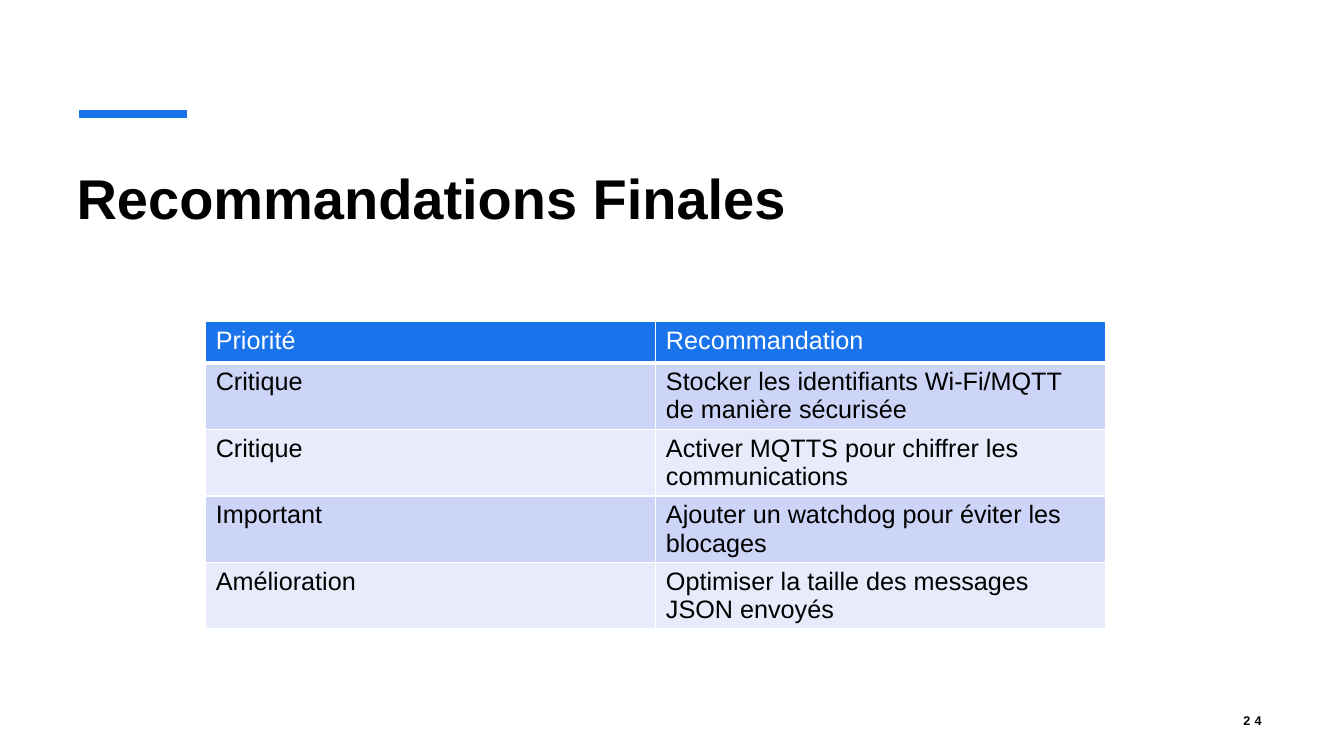
from lxml import etree
from pptx import Presentation
from pptx.dml.color import RGBColor
from pptx.enum.text import MSO_ANCHOR, PP_ALIGN
from pptx.oxml import parse_xml
from pptx.oxml.ns import nsdecls, qn
from pptx.util import Inches, Pt

BLUE = RGBColor(0x19, 0x73, 0xEB)
BAND_DARK = RGBColor(0xCC, 0xD5, 0xF7)
BAND_LIGHT = RGBColor(0xE8, 0xEB, 0xFB)
BLACK = RGBColor(0x00, 0x00, 0x00)
WHITE = RGBColor(0xFF, 0xFF, 0xFF)

RECOMMENDATIONS = [
    ("Priorité", "Recommandation"),
    ("Critique", "Stocker les identifiants Wi-Fi/MQTT de manière sécurisée"),
    ("Critique", "Activer MQTTS pour chiffrer les communications"),
    ("Important", "Ajouter un watchdog pour éviter les blocages"),
    ("Amélioration", "Optimiser la taille des messages JSON envoyés"),
]


class SlideBuilder:
    """Holds the text style and the current slide."""

    font_name = "Arial"

    def __init__(self, slide):
        self.slide = slide

    def style(self, paragraph, size, color=BLACK, bold=False):
        font = paragraph.font
        font.name = self.font_name
        font.size = Pt(size)
        font.bold = bold
        font.color.rgb = color

    def accent_line(self, left, top, length):
        line = self.slide.shapes.add_connector(
            1, Inches(left), Inches(top), Inches(left + length), Inches(top))
        line.line.color.rgb = BLUE
        line.line.width = Pt(6)
        etree.SubElement(line._element.spPr, qn("a:effectLst"))

    def title(self, text, left, top, width, height):
        title = self.slide.shapes.title
        title.left, title.top = Inches(left), Inches(top)
        title.width, title.height = Inches(width), Inches(height)
        frame = title.text_frame
        frame.text = text
        frame.vertical_anchor = MSO_ANCHOR.TOP
        frame.margin_left = Inches(0.06)
        frame.margin_top = Inches(0.12)
        paragraph = frame.paragraphs[0]
        paragraph.alignment = PP_ALIGN.LEFT
        self.style(paragraph, 40, bold=True)

    def table(self, rows, left, top, width, row_height):
        table = self.slide.shapes.add_table(
            len(rows), len(rows[0]), Inches(left), Inches(top),
            Inches(width), Inches(row_height * len(rows))).table
        for row_index, texts in enumerate(rows):
            is_header = row_index == 0
            band = BAND_DARK if row_index % 2 else BAND_LIGHT
            for column_index, text in enumerate(texts):
                cell = table.cell(row_index, column_index)
                cell.text = text
                cell.fill.solid()
                cell.fill.fore_color.rgb = BLUE if is_header else band
                self.style(cell.text_frame.paragraphs[0], 18,
                           WHITE if is_header else BLACK)
                self.borders(cell, top=3 if row_index == 1 else 1,
                             bottom=3 if is_header else 1)

    def borders(self, cell, top, bottom):
        properties = cell._tc.get_or_add_tcPr()
        widths = {"lnL": 1, "lnR": 1, "lnT": top, "lnB": bottom}
        for position, (side, width) in enumerate(widths.items()):
            properties.insert(position, parse_xml(
                f'<a:{side} {nsdecls("a")} w="{Pt(width)}"><a:solidFill>'
                f'<a:srgbClr val="{WHITE}"/></a:solidFill></a:{side}>'))

    def page_number(self, text, left, top, width, height):
        box = self.slide.shapes.add_textbox(
            Inches(left), Inches(top), Inches(width), Inches(height))
        frame = box.text_frame
        frame.word_wrap = True
        frame.vertical_anchor = MSO_ANCHOR.MIDDLE
        paragraph = frame.paragraphs[0]
        run = paragraph.add_run()
        run.text = text
        run.font._element.set("spc", "300")
        paragraph.alignment = PP_ALIGN.RIGHT
        self.style(paragraph, 9, bold=True)


def main():
    presentation = Presentation()
    presentation.slide_width = Inches(13.33)
    presentation.slide_height = Inches(7.5)
    title_only = presentation.slide_layouts[5]
    builder = SlideBuilder(presentation.slides.add_slide(title_only))

    # Heading
    builder.accent_line(0.78, 1.13, 1.07)
    builder.title("Recommandations Finales", 0.7, 1.5, 11.91, 1.2)

    # Recommendations by priority
    builder.table(RECOMMENDATIONS, 2.04, 3.19, 8.93, 0.41)

    # Footer
    builder.page_number("24", 11.82, 6.95, 0.79, 0.4)

    presentation.save("out.pptx")


if __name__ == "__main__":
    main()
